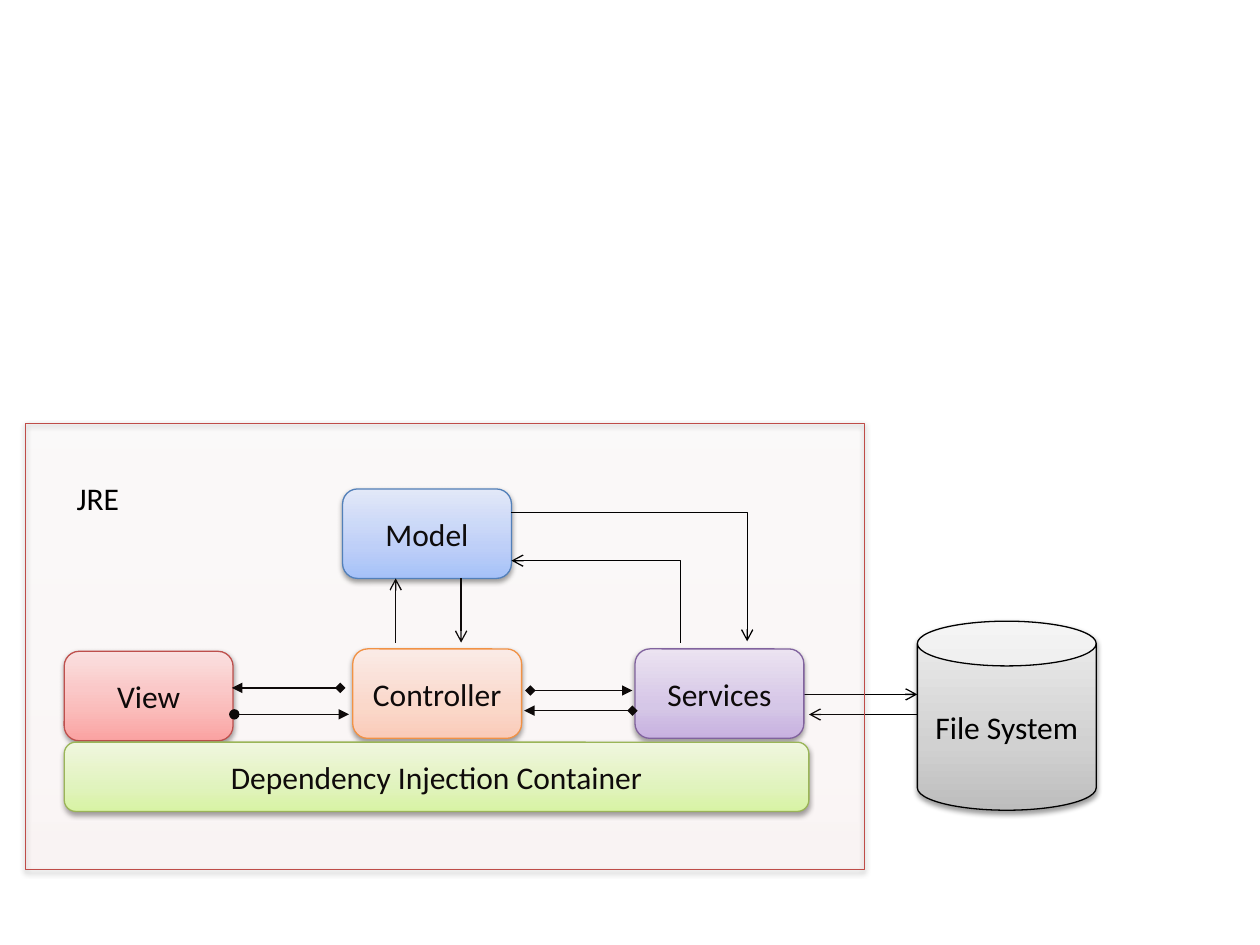
from dataclasses import dataclass

import pptx
import pptx.dml.color
import pptx.enum.shapes
import pptx.enum.text
import pptx.oxml
import pptx.oxml.ns
import pptx.util

Pt = pptx.util.Pt
RGB = pptx.dml.color.RGBColor.from_string
SHAPE = pptx.enum.shapes.MSO_SHAPE
LINK = pptx.enum.shapes.MSO_CONNECTOR
qn = pptx.oxml.ns.qn
NS = pptx.oxml.ns.nsdecls("a")


@dataclass(frozen=True)
class Theme:
    """Type, line weight and colours: outline, then gradient from bottom to top."""
    font: str = "Calibri"
    size: float = 18
    weight: float = 0.75
    ink: str = "000000"
    blue: tuple = ("4B7EBC", "A4C4FF", "BFD4FF", "E6EEFF")
    red: tuple = ("BF4C48", "FFA6A5", "FFC0BF", "FFE7E7")
    orange: tuple = ("F69240", "FFD2BD", "FFDED0", "FFF2ED")
    purple: tuple = ("7D60A0", "C9B5E8", "D8CBEE", "F0EAF9")
    green: tuple = ("98B955", "DAFDA7", "E4FCC2", "F5FFE7")
    grey: tuple = ("000000", "BDBDBD", "D1D1D1", "EEEEEE")


THEME = Theme()


def add_xml(parent, body):
    """Append one DrawingML element, given without its namespace."""
    tag, rest = body.split(" ", 1)
    parent.append(pptx.oxml.parse_xml(f"<a:{tag} {NS} {rest}"))


def write(shape, text):
    """Put text in a shape in the theme's type."""
    tf = shape.text_frame
    tf.word_wrap = True
    tf.text = text
    font = tf.paragraphs[0].runs[0].font
    font.name, font.size = THEME.font, Pt(THEME.size)
    font.color.rgb = RGB(THEME.ink)


def block(s, kind, box, colours, text="", alphas=(100, 100, 100)):
    """Draw a shadowed gradient shape with an optional centred label."""
    shape = s.shapes.add_shape(kind, *map(Pt, box))
    outline, *shades = colours
    shape.line.color.rgb = RGB(outline)
    shape.line.width = Pt(THEME.weight)
    shape.fill.gradient()
    shape.fill.gradient_angle = 90
    sp_pr = shape._element.spPr
    stops = sp_pr.find(".//" + qn("a:gsLst"))
    for stop in list(stops):
        stops.remove(stop)
    for pos, shade, alpha in zip((0, 35, 100), shades, alphas):
        add_xml(stops, f'gs pos="{pos * 1000}"><a:srgbClr val="{shade}">'
                       f'<a:alpha val="{alpha * 1000}"/></a:srgbClr></a:gs>')
    shape.shadow.inherit = False
    add_xml(sp_pr.find(qn("a:effectLst")),
            f'outerShdw blurRad="{Pt(3.1)}" dist="{Pt(1.6)}" dir="5400000" rotWithShape="0">'
            f'<a:srgbClr val="{THEME.ink}"><a:alpha val="38000"/></a:srgbClr></a:outerShdw>')
    if text:
        write(shape, text)
        shape.text_frame.vertical_anchor = pptx.enum.text.MSO_ANCHOR.MIDDLE
        shape.text_frame.paragraphs[0].alignment = pptx.enum.text.PP_ALIGN.CENTER
    return shape


def arrow(s, start, end, head="none", tail="arrow", bent=False):
    """Join two points; a bent arrow runs vertically first."""
    kind = LINK.ELBOW if bent else LINK.STRAIGHT
    c = s.shapes.add_connector(kind, *map(Pt, start + end))
    c.line.color.rgb = RGB(THEME.ink)
    c.line.width = Pt(THEME.weight)
    sp_pr = c._element.spPr
    add_xml(c.line._get_or_add_ln(), f'headEnd type="{head}"/>')
    add_xml(c.line._get_or_add_ln(), f'tailEnd type="{tail}"/>')
    add_xml(sp_pr, "effectLst />")
    if bent:
        add_xml(sp_pr.find(".//" + qn("a:avLst")), 'gd name="adj1" fmla="val 0"/>')


def storage(s, left, top, width, height):
    """Draw the file system with its arrows to and from the services."""
    block(s, SHAPE.CAN, (left, top, width, height), THEME.grey, "File System")
    arrow(s, (left - 64.8, top + 41.8), (left, top + 41.8))
    arrow(s, (left, top + 53.3), (left - 61.9, top + 53.3))


def runtime(s, left, top, width, height):
    """Draw the runtime frame with its components and their arrows."""
    def at(x, y):
        return left + x, top + y

    for text, x, y, w, h, colours in (
            ("Model", 181.4, 37.5, 96.5, 51.1, THEME.blue),
            ("View", 22.3, 130.3, 96.5, 51.1, THEME.red),
            ("Controller", 187.2, 128.9, 96.5, 51.1, THEME.orange),
            ("Services", 348.5, 128.9, 96.5, 51.1, THEME.purple),
            ("Dependency Injection Container", 22.3, 182.2, 425.5, 39.6, THEME.green)):
        block(s, SHAPE.ROUNDED_RECTANGLE, (*at(x, y), w, h), colours, text)

    for y, x1, x2, head in ((166.3, 119.5, 185, "oval"),
                            (151.2, 180, 118.1, "diamond"),
                            (152.7, 288.7, 347, "diamond"),
                            (164.2, 347, 285.1, "diamond")):
        arrow(s, at(x1, y), at(x2, y), head, "triangle")
    arrow(s, at(249.1, 88.6), at(249.1, 125.3))
    arrow(s, at(211.7, 125.3), at(211.7, 88.6))

    block(s, SHAPE.RECTANGLE, (left, top, width, height), THEME.red, alphas=(6, 5, 5))
    label = s.shapes.add_textbox(*map(Pt, (*at(22.3, 28.1), 95.8, 28.8)))
    write(label, "JRE")

    arrow(s, at(374.4, 125.3), at(277.9, 78.5), bent=True)
    arrow(s, at(412.6, 124.6), at(277.9, 51.1), "arrow", "none", bent=True)


prs = pptx.Presentation()
prs.slide_width, prs.slide_height = Pt(720), Pt(540)
s = prs.slides.add_slide(prs.slide_layouts[6])
storage(s, 524.2, 355, 102.2, 108)
runtime(s, 14.4, 241.9, 479.5, 254.9)
prs.save("out.pptx")
